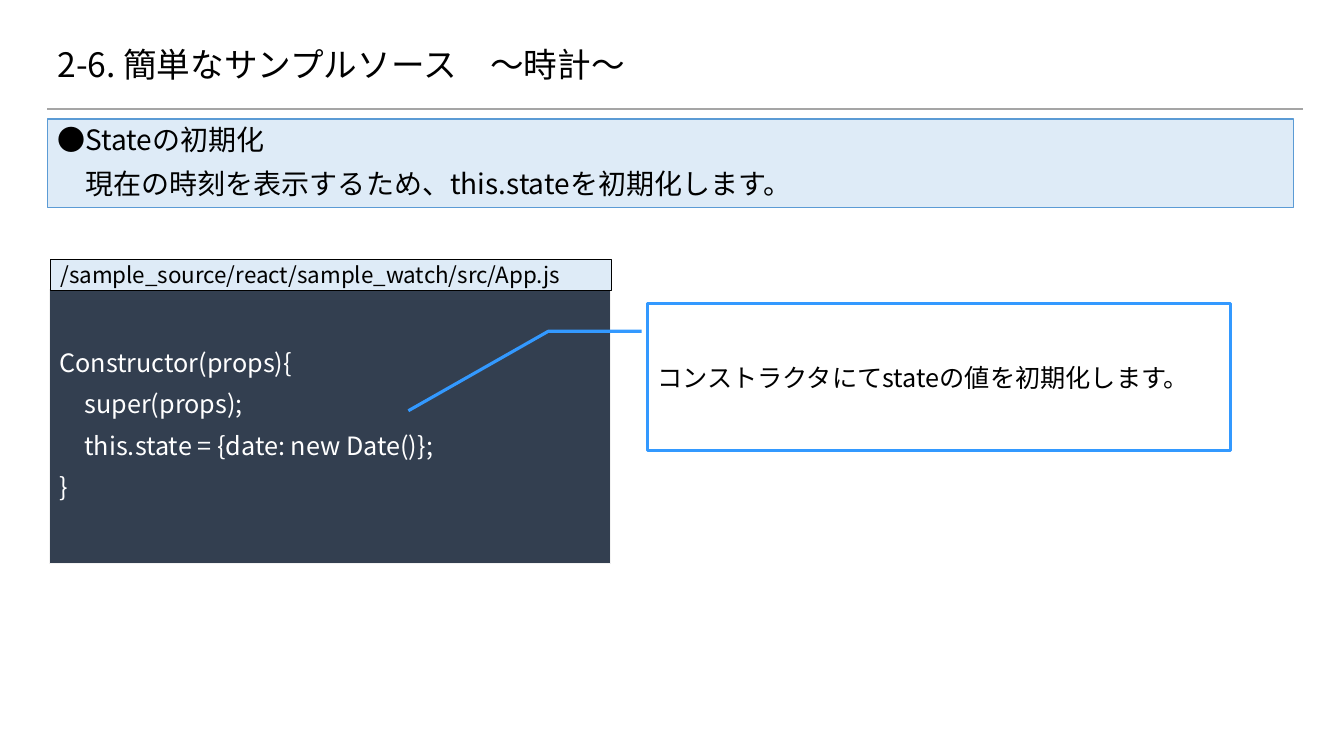
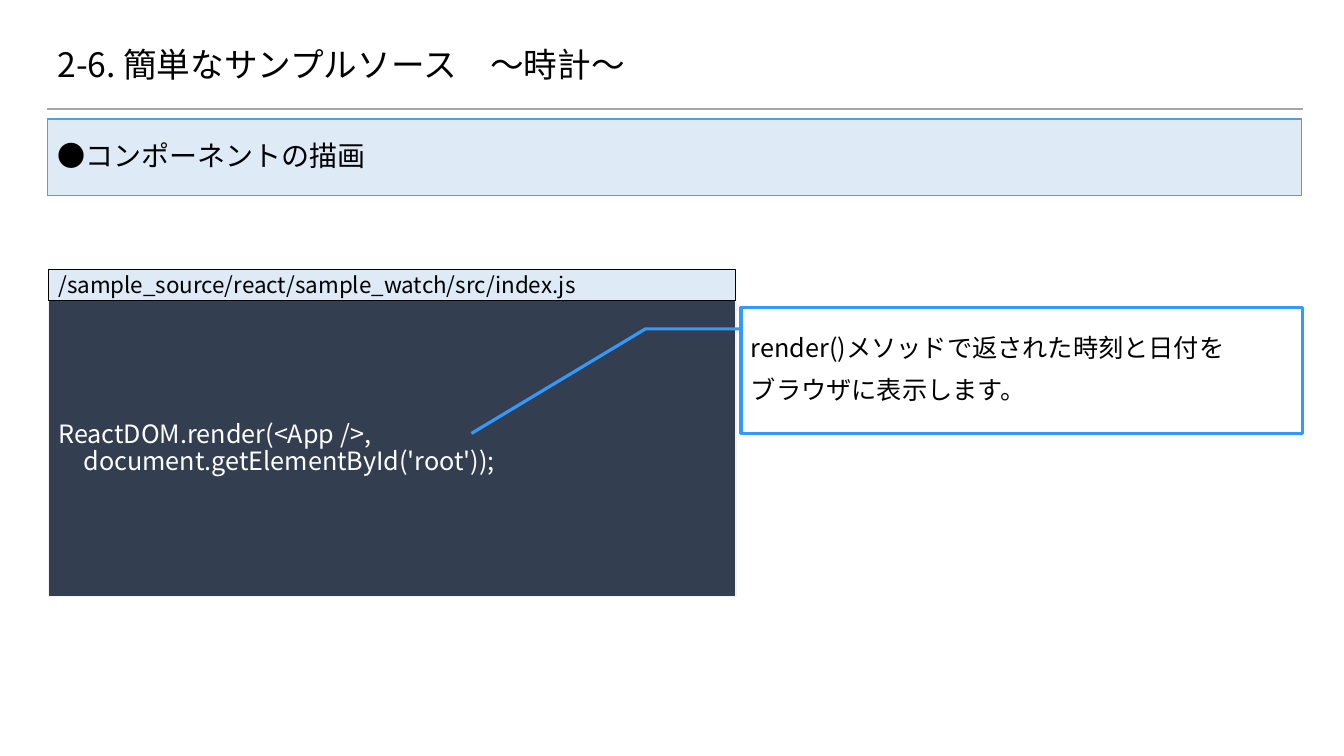
from lxml.etree import SubElement
from pptx import Presentation
from pptx.dml.color import RGBColor
from pptx.enum.shapes import MSO_CONNECTOR, MSO_SHAPE
from pptx.enum.text import MSO_ANCHOR, MSO_AUTO_SIZE, PP_ALIGN
from pptx.oxml.ns import qn
from pptx.util import Inches, Pt

# Shared look
BLACK = RGBColor(0x00, 0x00, 0x00)
WHITE = RGBColor(0xFF, 0xFF, 0xFF)
GRAY = RGBColor(0xA5, 0xA5, 0xA5)
PALE_GRAY = RGBColor(0xF2, 0xF2, 0xF2)
PALE_BLUE = RGBColor(0xDE, 0xEB, 0xF7)
MID_BLUE = RGBColor(0x5B, 0x9B, 0xD5)
BRIGHT_BLUE = RGBColor(0x33, 0x99, 0xFF)
NAVY = RGBColor(0x33, 0x3F, 0x50)

FONT = "Noto Sans CJK JP"
TITLE = "2-6. 簡単なサンプルソース　～時計～"
MARGIN = 0.47
HANGING = 0.25

PLAIN = {"alignment": PP_ALIGN.LEFT}
TIGHT = {**PLAIN, "line_spacing": 0.9, "space_before": Pt(0)}
SPACED = {**TIGHT, "space_before": Pt(10)}


def apply(target, formats):
    for name, value in formats.items():
        setattr(target, name, value)


def place(shape, at):
    names = ("left", "top", "width", "height")
    apply(shape, dict(zip(names, map(Inches, at))))


def paint(shape, fill, line, width):
    shape.fill.solid()
    shape.fill.fore_color.rgb = fill
    shape.line.color.rgb = line
    shape.line.width = Pt(width)


def write(shape, lines, size, color=BLACK, style=PLAIN, hanging=0):
    """Fill a shape with one paragraph per line, without bullets."""
    frame = shape.text_frame
    apply(frame, {"word_wrap": True, "auto_size": MSO_AUTO_SIZE.NONE,
                  "vertical_anchor": MSO_ANCHOR.MIDDLE})
    for number, line in enumerate(lines):
        para = frame.add_paragraph() if number else frame.paragraphs[0]
        apply(para, style)
        properties = para._p.get_or_add_pPr()
        properties.set("marL", str(Inches(hanging)))
        properties.set("indent", str(-Inches(hanging)))
        SubElement(properties, qn("a:buNone"))
        span = para.add_run()
        span.text = line
        apply(span.font, {"name": FONT, "size": Pt(size), "bold": False})
        span.font.color.rgb = color
        east_asian = SubElement(span._r.get_or_add_rPr(), qn("a:ea"))
        east_asian.set("typeface", FONT)


def add_box(page, at, fill, line, width, kind=MSO_SHAPE.RECTANGLE):
    box = page.shapes.add_shape(kind, *map(Inches, at))
    box.shadow.inherit = False
    paint(box, fill, line, width)
    return box


def add_title_rule(page):
    """Draw the rule once and hand it to the layout all pages share."""
    y = Inches(1.08)
    rule = page.shapes.add_connector(
        MSO_CONNECTOR.STRAIGHT, Inches(MARGIN), y, Inches(12.92), y)
    rule.line.color.rgb = GRAY
    rule.line.width = Pt(1.5)
    SubElement(rule.element.spPr, qn("a:effectLst"))
    page.slide_layout.shapes.element.append(rule.element)


def add_page(deck, layout, lead, lead_size):
    page = deck.slides.add_slide(layout)
    title, body = page.placeholders
    place(title, (MARGIN, 0.37, 11.5, 0.59))
    write(title, [TITLE], 24, style=TIGHT)
    place(body, (MARGIN, 1.18, *lead_size))
    paint(body, PALE_BLUE, MID_BLUE, 1)
    write(body, lead, 20, style=SPACED)
    return page


def add_code(page, at, lines):
    box = add_box(page, at, NAVY, PALE_GRAY, 0.75)
    write(box, lines, 18, WHITE, SPACED, HANGING)


def add_callout(page, at, leader, lines, style=PLAIN, hanging=0):
    """Leader holds y, x pairs as fractions of the callout box."""
    box = add_box(page, at, WHITE, BRIGHT_BLUE, 2.25, MSO_SHAPE.LINE_CALLOUT_2)
    for number, value in enumerate(leader):
        box.adjustments[number] = value
    write(box, lines, 18, style=style, hanging=hanging)


def add_file_label(page, at, name):
    box = add_box(page, at, PALE_BLUE, BLACK, 0.25)
    write(box, [f"/sample_source/react/sample_watch/src/{name}"], 16)


def main():
    deck = Presentation()
    apply(deck, {"slide_width": Inches(13.33), "slide_height": Inches(7.5)})
    layout = deck.slide_layouts.get_by_name("Title and Content")

    # State initialisation
    page = add_page(
        deck, layout,
        ["●Stateの初期化", "　現在の時刻を表示するため、this.stateを初期化します。"],
        (12.36, 0.88))
    add_title_rule(page)
    add_code(page, (0.49, 2.87, 5.57, 2.72),
             ["Constructor(props){", "\tsuper(props);",
              "\tthis.state = {date: new Date()};", "}"])
    add_callout(page, (6.42, 3.01, 5.78, 1.46),
                (0.19, -0.01, 0.19, -0.17, 0.73, -0.41),
                ["コンストラクタにてstateの値を初期化します。"])
    add_file_label(page, (0.5, 2.57, 5.56, 0.31), "App.js")

    # Component rendering
    page = add_page(deck, layout, ["●コンポーネントの描画"], (12.44, 0.76))
    add_code(page, (0.48, 2.98, 6.82, 2.94),
             ["ReactDOM.render(<App />, document.getElementById('root'));"])
    add_callout(page, (7.35, 3.05, 5.57, 1.25),
                (0.17, 0, 0.17, -0.17, 1, -0.48),
                ["render()メソッドで返された時刻と日付を", "ブラウザに表示します。"],
                SPACED, HANGING)
    add_file_label(page, (0.48, 2.67, 6.81, 0.31), "index.js")

    deck.save("out.pptx")


if __name__ == "__main__":
    main()
